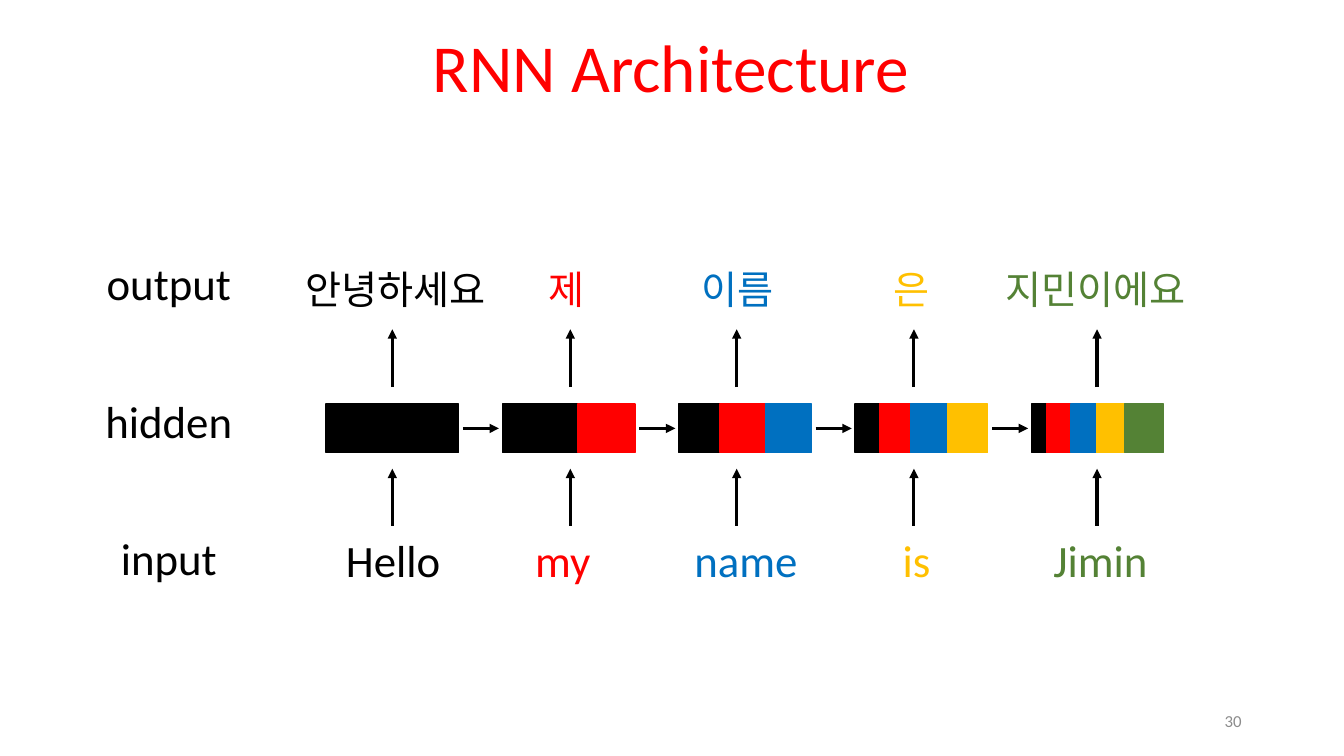
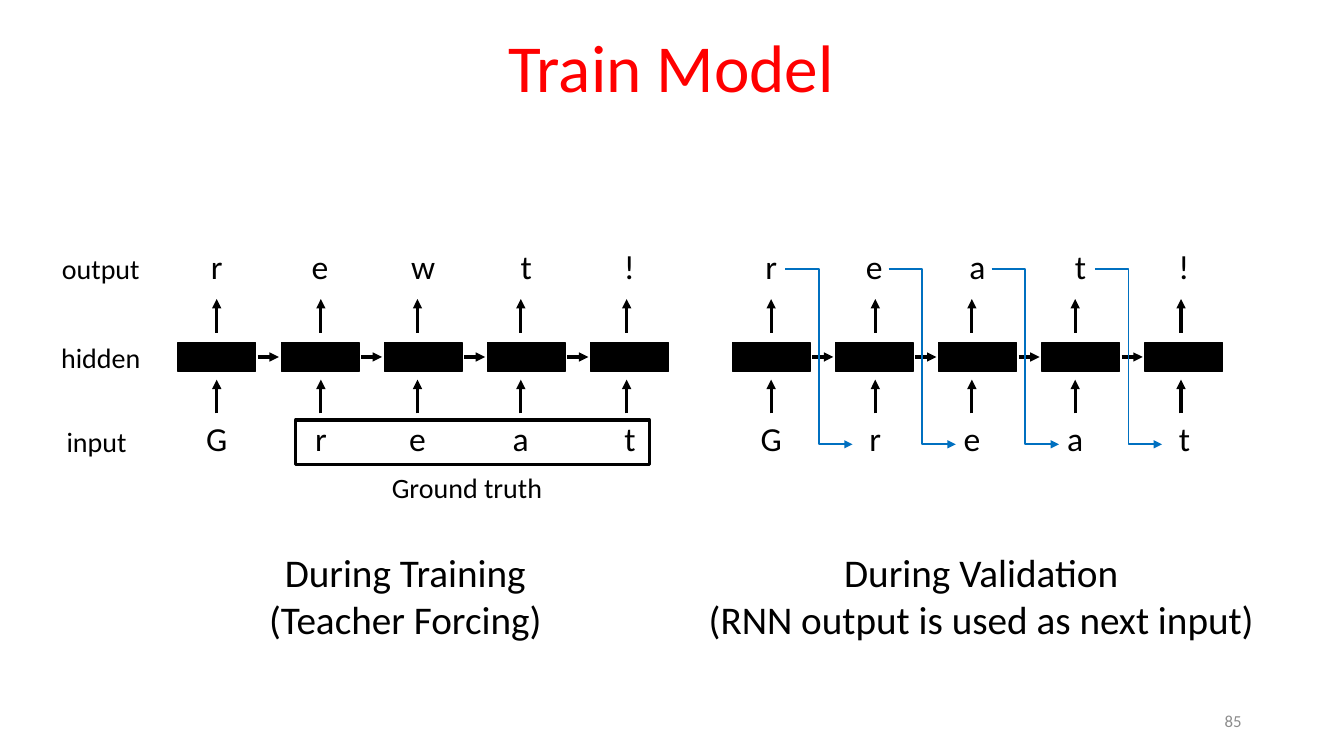
import lxml.etree
import pptx
import pptx.dml.color
import pptx.enum.shapes
import pptx.enum.text
import pptx.oxml.ns
import pptx.util

BLACK = pptx.dml.color.RGBColor(0x00, 0x00, 0x00)
RED = pptx.dml.color.RGBColor(0xFF, 0x00, 0x00)
BLUE = pptx.dml.color.RGBColor(0x00, 0x70, 0xC0)
GOLD = pptx.dml.color.RGBColor(0xFF, 0xC0, 0x00)
GREEN = pptx.dml.color.RGBColor(0x54, 0x82, 0x35)
GREY = pptx.dml.color.RGBColor(0x8C, 0x8C, 0x8C)
HUES = [BLACK, RED, BLUE, GOLD, GREEN]

COLS, ROWS = 160, 90
ALIGN = pptx.enum.text.PP_ALIGN
ANCHOR = pptx.enum.text.MSO_ANCHOR
RECT = pptx.enum.shapes.MSO_SHAPE.RECTANGLE
LINK = pptx.enum.shapes.MSO_CONNECTOR


class Deck:
    font = "Calibri"

    def __init__(self):
        self.show = pptx.Presentation()
        self.show.slide_width = pptx.util.Inches(13.33)
        self.show.slide_height = pptx.util.Inches(7.5)
        self.slide = None

    def grid(self, *spots):
        sides = (self.show.slide_width / COLS, self.show.slide_height / ROWS)
        return [round(spot * sides[i % 2]) for i, spot in enumerate(spots)]

    def style(self, frame, text, size, hue, align):
        frame.text = text
        frame.word_wrap = True
        frame.auto_size = pptx.enum.text.MSO_AUTO_SIZE.NONE
        for para in frame.paragraphs:
            para.alignment = align
            for run in para.runs:
                run.font.name = self.font
                run.font.size = pptx.util.Pt(size)
                run.font.color.rgb = hue

    def page(self, title, number):
        self.slide = self.show.slides.add_slide(self.show.slide_layouts[5])
        head = self.slide.shapes.title
        head.left, head.top, head.width, head.height = self.grid(10.9, 0.24, 138, 13.1)
        self.style(head.text_frame, title, 48, RED, ALIGN.CENTER)
        head.text_frame.vertical_anchor = ANCHOR.BOTTOM
        head.text_frame.paragraphs[0].line_spacing = 0.9
        foot = self.text(number, 113, 83.4, 36, 4.8, 12, GREY, ALIGN.RIGHT)
        foot.text_frame.vertical_anchor = ANCHOR.MIDDLE

    def text(self, text, x, y, w, h, size, hue=BLACK, align=ALIGN.CENTER):
        box = self.slide.shapes.add_textbox(*self.grid(x, y, w, h))
        self.style(box.text_frame, text, size, hue, align)
        return box

    def row(self, words, mids, y, w, h, size, hues=(BLACK,) * 5):
        for word, mid, hue in zip(words, mids, hues):
            self.text(word, mid - w / 2, y, w, h, size, hue)

    def rect(self, home, x, y, w, h, hue, fill=True, width=1):
        box = home.add_shape(RECT, *self.grid(x, y, w, h))
        box.shadow.inherit = False
        if fill:
            box.fill.solid()
            box.fill.fore_color.rgb = hue
        else:
            box.fill.background()
        box.line.color.rgb = hue
        box.line.width = pptx.util.Pt(width)

    def bar(self, x, y, h, parts):
        home = self.slide.shapes
        if len(parts) > 1:
            home = home.add_group_shape().shapes
        for part, hue in zip(parts, HUES):
            self.rect(home, x, y, part, h, hue)
            x += part

    def arrow(self, x1, y1, x2, y2, hue=BLACK, width=2.25, kind=LINK.STRAIGHT):
        link = self.slide.shapes.add_connector(kind, *self.grid(x1, y1, x2, y2))
        link.line.color.rgb = hue
        link.line.width = pptx.util.Pt(width)
        qn = pptx.oxml.ns.qn
        props = link.element.spPr
        lxml.etree.SubElement(props.find(qn("a:ln")), qn("a:tailEnd"), type="triangle")
        lxml.etree.SubElement(props, qn("a:effectLst"))

    def chain(self, left, pitch, top, tall, bars, mids, gap, rises):
        for i, (parts, mid) in enumerate(zip(bars, mids)):
            x = left + i * pitch
            self.bar(x, top, tall, parts)
            for low, high in rises:
                self.arrow(mid, low, mid, high)
            if i < len(bars) - 1:
                y = top + tall / 2
                self.arrow(x + gap[0], y, x + gap[1], y)


def design(deck):
    deck.page("RNN Architecture", "30")
    for word, y in (("output", 29.8), ("hidden", 46.3), ("input", 62.6)):
        deck.text(word, 11, y, 18.2, 7.7, 32)
    mids = [46.7, 67.9, 87.7, 108.8, 130.6]
    bars = [
        [15.8],
        [9, 6.8],
        [4.9, 5.4, 5.5],
        [2.9, 3.7, 4.4, 4.8],
        [1.8, 2.9, 3, 3.4, 4.6],
    ]
    deck.chain(38.8, 21, 48.1, 5.8, bars, mids, (16.3, 20.6),
               [(62.6, 55.8), (46.1, 39.2)])
    deck.row(["안녕하세요", "제", "이름", "은", "지민이에요"],
             [47.1, 67.4, 87.8, 108.5, 130.4], 31, 27, 6.8, 28, HUES)
    deck.row(["Hello", "my", "name", "is", "Jimin"],
             [46.8, 67, 88.8, 109.1, 131], 62.8, 18, 7.7, 32, HUES)


def train(deck):
    deck.page("Train Model", "85")
    for word, mid, y in (("output", 12, 29.3), ("hidden", 12, 40), ("input", 11.5, 49.9)):
        deck.text(word, mid - 6.7, y, 13.4, 5.3, 20)
    pitch = 12.28
    for shift, outs in ((0, "rewt!"), (66, "reat!")):
        mids = [shift + mid for mid in (25.8, 38.2, 49.7, 62, 74.6)]
        deck.chain(shift + 21.2, pitch, 40.8, 3.4, [[9.24]] * 5, mids, (9.5, 12),
                   [(49.2, 45.2), (39.6, 35.6)])
        deck.row("Great", mids[:4] + [shift + 75], 49.2, 8.2, 6, 24)
        deck.row(outs, [shift + 25.8 + i * pitch for i in range(5)], 28.7, 8.2, 6, 24)
    for i in range(4):
        x = 93.5 + i * pitch
        deck.arrow(x, 32, x + 8, 52.9, BLUE, 1.25, LINK.ELBOW)
    deck.rect(deck.slide.shapes, 35.2, 50, 42.1, 5.3, BLACK, False, 2.25)
    deck.text("Ground truth", 42.4, 55.4, 26.4, 5.3, 20)
    deck.text("During Training\n(Teacher Forcing)", 20, 64.7, 56.5, 12.5, 28)
    deck.text("During Validation\n(RNN output is used as next input)",
              78.1, 64.7, 77.4, 12.5, 28)


def main():
    deck = Deck()
    design(deck)
    train(deck)
    deck.show.save("out.pptx")


if __name__ == "__main__":
    main()
